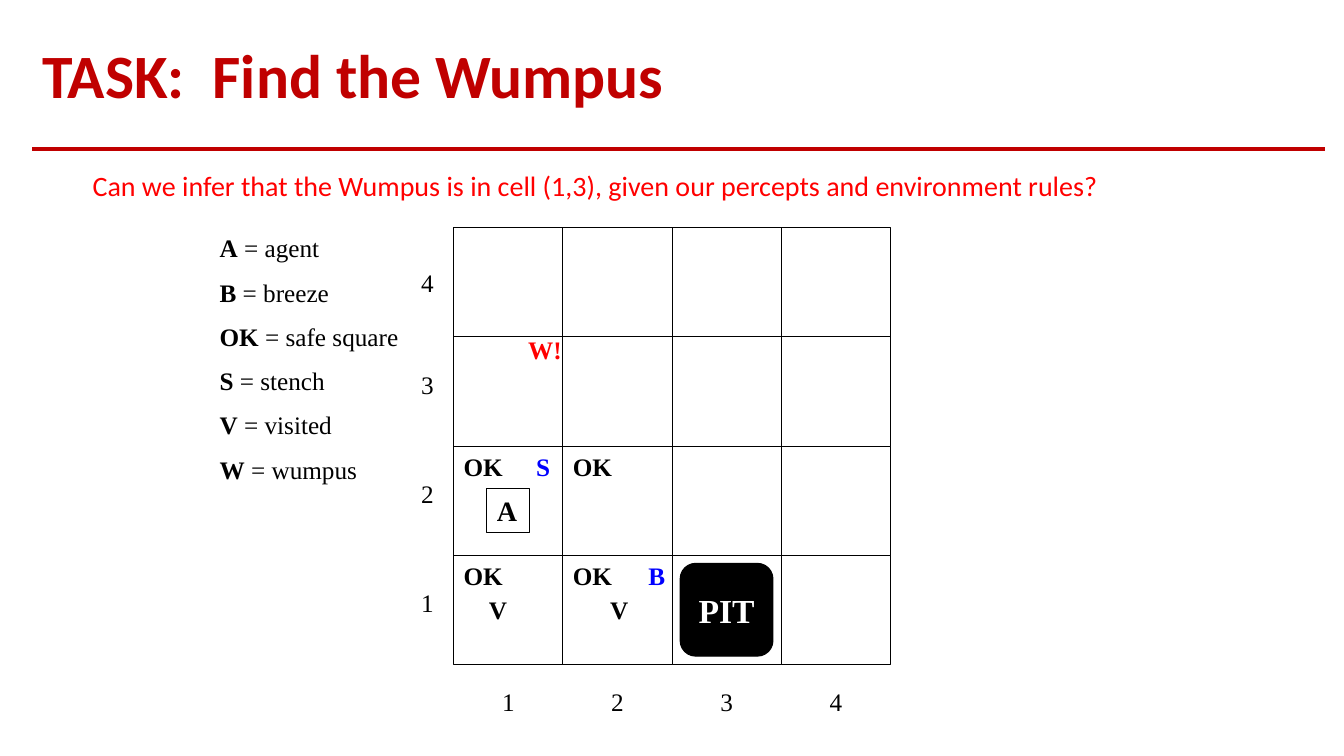
import pptx
import pptx.util
import pptx.dml.color
import pptx.enum.shapes
import pptx.enum.text
import lxml.etree

RGBColor = pptx.dml.color.RGBColor
SHAPE = pptx.enum.shapes.MSO_SHAPE
ALIGN = pptx.enum.text.PP_ALIGN
ANCHOR = pptx.enum.text.MSO_ANCHOR
Inches, Pt = pptx.util.Inches, pptx.util.Pt

BLACK = RGBColor(0x00, 0x00, 0x00)
WHITE = RGBColor(0xFF, 0xFF, 0xFF)
RED = RGBColor(0xFF, 0x00, 0x00)
BLUE = RGBColor(0x00, 0x00, 0xFF)
DARK_RED = RGBColor(0xC0, 0x00, 0x00)
HEAD_FONT, BODY_FONT = "Calibri", "Times New Roman"

# Content
TITLE = "TASK:  Find the Wumpus"
QUESTION = "Can we infer that the Wumpus is in cell (1,3), given our percepts and environment rules?"
LEGEND = [("A", "agent"), ("B", "breeze"), ("OK", "safe square"),
          ("S", "stench"), ("V", "visited"), ("W", "wumpus")]
# Marks: text, grid column, grid row, offset in the cell (x, y), width, colour
MARKS = [
    ("OK", 1, 1, 0, 0, 0.67, BLACK),
    ("V", 1, 1, 0.25, 0.34, 0.38, BLACK),
    ("OK", 2, 1, 0, 0, 0.67, BLACK),
    ("B", 2, 1, 0.75, 0, 0.37, BLUE),
    ("V", 2, 1, 0.37, 0.34, 0.38, BLACK),
    ("OK", 1, 2, 0, 0, 0.67, BLACK),
    ("S", 1, 2, 0.72, 0, 0.34, BLUE),
    ("OK", 2, 2, 0, 0, 0.67, BLACK),
    ("W!", 1, 3, 0.64, -0.08, 0.53, RED),
]
ROW_LABEL_DROP = {1: 0.27, 2: 0.27, 3: 0.27, 4: 0.34}

# Layout
SLIDE_W, SLIDE_H = 13.33, 7.5
GRID_X, GRID_Y, CELL, SIZE = 4.5, 2.26, 1.083, 4
EDGE, RULE_Y, LINE_H = 0.32, 1.48, 0.4

prs = pptx.Presentation()
prs.slide_width, prs.slide_height = Inches(SLIDE_W), Inches(SLIDE_H)
s = prs.slides.add_slide(prs.slide_layouts[6])


def cell_origin(column, row):
    """Top left of a cell; rows count upwards from the bottom."""
    return GRID_X + (column - 1) * CELL, GRID_Y + (SIZE - row) * CELL


def write(sp, paragraphs, size=18, font=BODY_FONT, color=BLACK, bold=False,
          align=ALIGN.LEFT, anchor=ANCHOR.TOP, wrap=True, gap=0, spacing=1.0):
    """Each paragraph is a string or a list of (text, bold) runs."""
    tf = sp.text_frame
    tf.word_wrap, tf.vertical_anchor = wrap, anchor
    for i, runs in enumerate(paragraphs):
        p = tf.add_paragraph() if i else tf.paragraphs[0]
        p.alignment, p.line_spacing = align, spacing
        p.space_before = Pt(gap if i else 0)
        for text, heavy in [(runs, bold)] if isinstance(runs, str) else runs:
            r = p.add_run()
            r.text = text
            r.font.name, r.font.size, r.font.bold = font, Pt(size), heavy
            r.font.color.rgb = color


def label(x, y, w, h, *paragraphs, **style):
    write(s.shapes.add_textbox(*map(Inches, (x, y, w, h))), paragraphs, **style)


def block(kind, x, y, w, h, fill):
    sp = s.shapes.add_shape(kind, *map(Inches, (x, y, w, h)))
    sp.shadow.inherit = False
    if fill is None:
        sp.fill.background()
    else:
        sp.fill.solid()
        sp.fill.fore_color.rgb = fill
    sp.line.color.rgb, sp.line.width = BLACK, Pt(0.75)
    return sp


# Heading, rule and question
rule = s.shapes.add_connector(pptx.enum.shapes.MSO_CONNECTOR.STRAIGHT,
                              Inches(EDGE), Inches(RULE_Y), Inches(EDGE + 12.82), Inches(RULE_Y))
rule.line.color.rgb, rule.line.width = DARK_RED, Pt(2.5)
lxml.etree.SubElement(rule.element.spPr, pptx.oxml.ns.qn("a:effectLst"))
label(EDGE, 0.28, 12.82, 1, TITLE, size=44, font=HEAD_FONT, color=DARK_RED,
      bold=True, anchor=ANCHOR.MIDDLE, spacing=0.9)
label(EDGE + 0.5, 1.62, 11.83, 0.44, QUESTION, size=20, font=HEAD_FONT, color=RED)

# Grid
for column in range(1, SIZE + 1):
    for row in range(SIZE, 0, -1):
        block(SHAPE.RECTANGLE, *cell_origin(column, row), CELL, CELL, WHITE)

# Row and column numbers
for n in range(1, SIZE + 1):
    label(GRID_X - 0.42, cell_origin(1, n)[1] + ROW_LABEL_DROP[n], 0.5, LINE_H, str(n))
    label(cell_origin(n, 1)[0], GRID_Y + SIZE * CELL + 0.17, CELL, LINE_H,
          str(n), align=ALIGN.CENTER)

# Legend
label(2.08, GRID_Y, 2.08, 2.66,
      *[[(key, True), (f" = {meaning}", False)] for key, meaning in LEGEND], gap=10)

# Agent and pit
x, y = cell_origin(1, 2)
agent = block(SHAPE.RECTANGLE, x + 0.33, y + 0.42, 0.42, 0.44, None)
write(agent, ["A"], size=20, bold=True, wrap=False)
x, y = cell_origin(3, 1)
pit = block(SHAPE.ROUNDED_RECTANGLE, x + 0.08, y + 0.08, 0.92, 0.92, BLACK)
write(pit, ["PIT"], size=24, color=WHITE, bold=True, align=ALIGN.CENTER, anchor=ANCHOR.MIDDLE)

# Marks inside the cells
for text, column, row, dx, dy, width, color in MARKS:
    x, y = cell_origin(column, row)
    label(x + dx, y + dy, width, LINE_H, text, color=color, bold=True, wrap=False)

prs.save("out.pptx")
